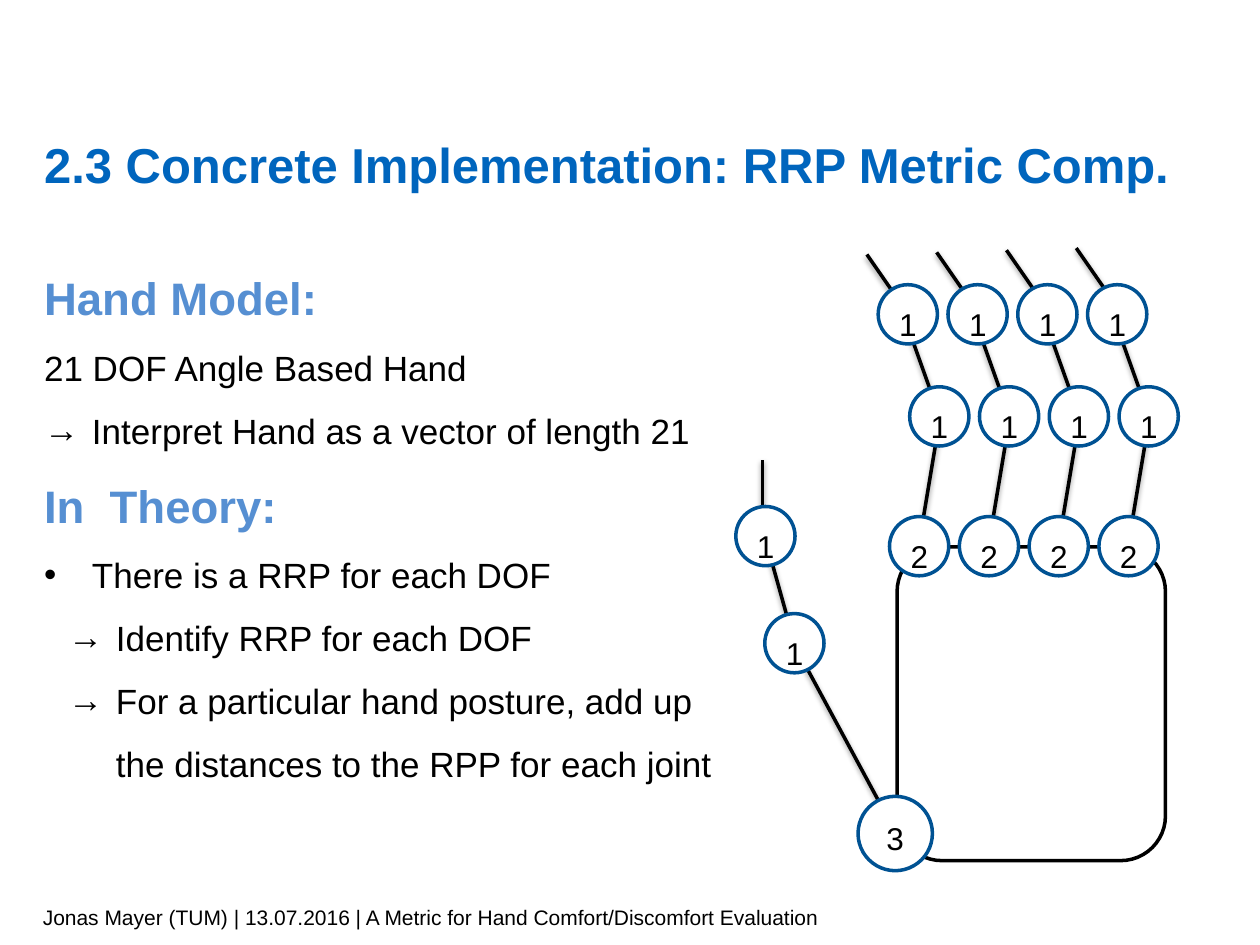
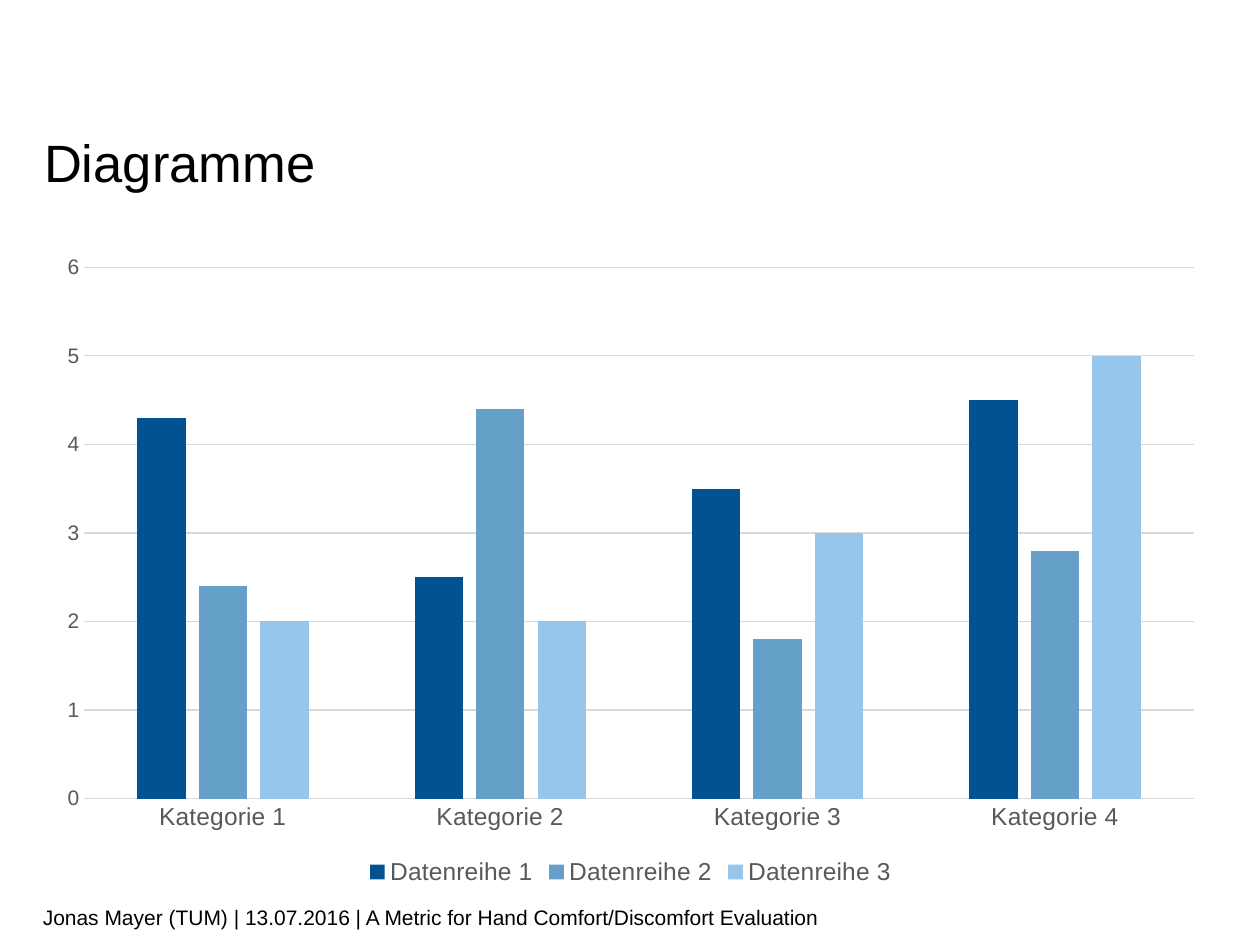
from dataclasses import dataclass

from lxml import etree
from pptx import Presentation, util as u
from pptx.chart.data import CategoryChartData
from pptx.dml.color import RGBColor
from pptx.enum import chart as charts, shapes, text
from pptx.oxml import parse_xml
from pptx.oxml.ns import nsdecls, qn

COLUMNS, ROWS = 100, 75


@dataclass(frozen=True)
class Theme:
    font: str = "Arial"
    black: str = "000000"
    white: str = "FFFFFF"
    title_blue: str = "0065BD"
    heading_blue: str = "568FD2"
    joint_blue: str = "005293"
    axis_text: str = "595959"
    grid: str = "D9D9D9"
    series: tuple = ("005293", "64A0C8", "98C6EA")
    title_size: int = 30
    long_title_size: int = 28
    heading_size: int = 26
    body_size: int = 20
    joint_size: int = 18
    label_size: int = 14
    small_size: int = 12
    line_width: float = 2


THEME = Theme()
TITLE_BOX = (3.5, 10.9, 93.1, 4.5)
BODY_BOX = (3.5, 19.3, 53, 51.4)
CHART_BOX = (3.5, 19.3, 93.1, 51.4)
FOOTER_BOX = (3.4, 70.8, 70.7, 4)
FOOTER = "Jonas Mayer (TUM) | 13.07.2016 | A Metric for Hand Comfort/Discomfort Evaluation"

# Text, style, bullet, left indent in inches
HAND_MODEL = [
    ("Hand Model:", "heading", None, 0),
    ("21 DOF Angle Based Hand", "body", None, 0),
    ("Interpret Hand as a vector of length 21", "body", "→", 0.38),
    ("In  Theory:", "heading", None, 0),
    ("There is a RRP for each DOF", "body", "•", 0.38),
    ("Identify RRP for each DOF", "body", "→", 0.57),
    ("For a particular hand posture, add up the distances to the RPP for each joint",
     "body", "→", 0.57),
]
HANGING = 0.38

# Hand geometry in grid columns and rows; joints are centre x, centre y, DOF
PALM = (71.2, 43.4, 21.3, 24.9)
FINGERS, FINGER_PITCH, TIP_RISE = 4, 5.54, 0.17
FINGER_JOINTS = [(72.05, 24.95, "1"), (74.55, 33.05, "1"), (72.95, 43.35, "2")]
FINGER_BONES = [((74.6, 33.2), (72.9, 43.4)), ((74.6, 33.1), (71.6, 24.7))]
FINGERTIP = ((72.2, 25.1), (68.8, 20.2))
THUMB_BONES = [((71.1, 66.1), (63, 51.1)), ((60.7, 42.6), (63.1, 51.2)),
               ((60.5, 42.1), (60.5, 36.5))]
THUMB_JOINTS = [(63.05, 51.05, "1"), (60.75, 42.55, "1")]
WRIST = (71.05, 66.15, "3")
JOINT_SIZE, WRIST_SIZE = 4.7, 5.9

CATEGORIES = [f"Kategorie {n}" for n in range(1, 5)]
SERIES = {
    "Datenreihe 1": (4.3, 2.5, 3.5, 4.5),
    "Datenreihe 2": (2.4, 4.4, 1.8, 2.8),
    "Datenreihe 3": (2, 2, 3, 5),
}


def rgb(color):
    return RGBColor.from_string(color)


class Deck:
    def __init__(self, theme):
        self.theme = theme
        self.prs = Presentation()
        self.prs.slide_width, self.prs.slide_height = u.Inches(10), u.Inches(7.5)
        self.slide = None

    def x(self, columns):
        return round(self.prs.slide_width * columns / COLUMNS)

    def y(self, rows):
        return round(self.prs.slide_height * rows / ROWS)

    def box(self, left, top, width, height):
        return self.x(left), self.y(top), self.x(width), self.y(height)

    def place(self, sp, box):
        sp.left, sp.top, sp.width, sp.height = self.box(*box)

    def font(self, font, size, color, bold=False):
        font.name, font.size, font.bold = self.theme.font, u.Pt(size), bold
        font.color.rgb = rgb(color)

    def stroke(self, line, color, width=None):
        line.color.rgb = rgb(color)
        line.width = u.Pt(width or self.theme.line_width)

    def paragraph(self, p, content, size, color, bold=False):
        p.text = content
        for r in p.runs:
            self.font(r.font, size, color, bold)

    def frame(self, sp, anchor=text.MSO_ANCHOR.TOP, inset=0):
        """Prepare a wrapping text frame without side margins."""
        tf = sp.text_frame
        tf.word_wrap, tf.auto_size = True, text.MSO_AUTO_SIZE.NONE
        tf.vertical_anchor = anchor
        tf.margin_left = tf.margin_right = 0
        tf.margin_top = tf.margin_bottom = u.Inches(inset)
        return tf

    def new_slide(self, layout, title, size, color, bold=False):
        self.slide = self.prs.slides.add_slide(self.prs.slide_layouts[layout])
        sp = self.slide.shapes.title
        self.place(sp, TITLE_BOX)
        p = self.frame(sp).paragraphs[0]
        self.paragraph(p, title, size, color, bold)
        p.alignment, p.line_spacing = text.PP_ALIGN.LEFT, u.Pt(32)

    def footer(self):
        sp = self.slide.shapes.add_textbox(*self.box(*FOOTER_BOX))
        tf = self.frame(sp, text.MSO_ANCHOR.MIDDLE, 0.05)
        self.paragraph(tf.paragraphs[0], FOOTER, self.theme.small_size, self.theme.black)

    def bullet(self, p, char, indent):
        pPr = p._p.get_or_add_pPr()
        pPr.set("marL", str(u.Inches(indent)))
        pPr.set("indent", str(-u.Inches(HANGING) if char else 0))
        if char:
            etree.SubElement(pPr, qn("a:buFont")).set("typeface", self.theme.font)
            etree.SubElement(pPr, qn("a:buChar")).set("char", char)
        else:
            etree.SubElement(pPr, qn("a:buNone"))

    def body(self, items):
        t = self.theme
        styles = {"heading": (t.heading_size, t.heading_blue, True),
                  "body": (t.body_size, t.black, False)}
        sp = self.slide.placeholders[1]
        self.place(sp, BODY_BOX)
        tf = self.frame(sp)
        for i, (content, style, char, indent) in enumerate(items):
            p = tf.add_paragraph() if i else tf.paragraphs[0]
            self.paragraph(p, content, *styles[style])
            p.level = int(indent > HANGING)
            p.alignment, p.line_spacing = text.PP_ALIGN.LEFT, 1.5
            p.space_before = p.space_after = u.Pt(0)
            self.bullet(p, char, indent)

    def shape(self, kind, box, line_color):
        sp = self.slide.shapes.add_shape(kind, *self.box(*box))
        sp.shadow.inherit = False
        sp.fill.solid()
        sp.fill.fore_color.rgb = rgb(self.theme.white)
        self.stroke(sp.line, line_color)
        return sp

    def joint(self, cx, cy, dof, size=JOINT_SIZE):
        sp = self.shape(shapes.MSO_SHAPE.FLOWCHART_CONNECTOR,
                        (cx - size / 2, cy - size / 2, size, size), self.theme.joint_blue)
        sp.text_frame.vertical_anchor = text.MSO_ANCHOR.TOP
        p = sp.text_frame.paragraphs[0]
        self.paragraph(p, dof, self.theme.joint_size, self.theme.black)
        p.alignment, p.line_spacing = text.PP_ALIGN.CENTER, 1.14

    def bone(self, start, end, dx=0, dy=0):
        (x1, y1), (x2, y2) = start, end
        line = self.slide.shapes.add_connector(
            shapes.MSO_CONNECTOR.STRAIGHT, self.x(x1 + dx), self.y(y1 + dy),
            self.x(x2 + dx), self.y(y2 + dy))
        self.stroke(line.line, self.theme.black)
        line._element.spPr.append(parse_xml(
            f'<a:effectLst {nsdecls("a")}><a:outerShdw blurRad="{u.Pt(3.1)}" '
            f'dist="{u.Pt(1.6)}" dir="5400000" rotWithShape="0">'
            f'<a:srgbClr val="{self.theme.black}"><a:alpha val="38000"/></a:srgbClr>'
            '</a:outerShdw></a:effectLst>'))

    def column_chart(self, categories, series):
        t = self.theme
        data = CategoryChartData()
        data.categories = categories
        for name, values in series.items():
            data.add_series(name, values)
        chart = self.slide.shapes.add_chart(
            charts.XL_CHART_TYPE.COLUMN_CLUSTERED, *self.box(*CHART_BOX), data).chart
        self.font(chart.font, 10, t.black)
        chart.has_title = False
        chart.has_legend = True
        chart.legend.position = charts.XL_LEGEND_POSITION.BOTTOM
        chart.legend.include_in_layout = False
        self.font(chart.legend.font, t.label_size, t.axis_text)

        plot = chart.plots[0]
        plot.gap_width, plot.overlap, plot.vary_by_categories = 219, -27, False
        for s, color in zip(plot.series, t.series):
            s.format.fill.solid()
            s.format.fill.fore_color.rgb = rgb(color)

        cat, val = chart.category_axis, chart.value_axis
        for axis, size in ((cat, t.label_size), (val, t.small_size)):
            axis.major_tick_mark = axis.minor_tick_mark = charts.XL_TICK_MARK.NONE
            self.font(axis.tick_labels.font, size, t.axis_text)
        self.stroke(cat.format.line, t.grid, 0.75)
        val.format.line.fill.background()
        val.minimum_scale, val.maximum_scale, val.major_unit = 0, 6, 1
        val.has_major_gridlines = True
        self.stroke(val.major_gridlines.format.line, t.grid, 0.75)


def draw_hand(deck):
    deck.shape(shapes.MSO_SHAPE.ROUNDED_RECTANGLE, PALM, deck.theme.black)
    for finger in range(FINGERS):
        dx = finger * FINGER_PITCH
        for bone in FINGER_BONES:
            deck.bone(*bone, dx)
        deck.bone(*FINGERTIP, dx, -finger * TIP_RISE)
        for cx, cy, dof in FINGER_JOINTS:
            deck.joint(cx + dx, cy, dof)
    for bone in THUMB_BONES:
        deck.bone(*bone)
    deck.joint(*WRIST, WRIST_SIZE)
    for joint in THUMB_JOINTS:
        deck.joint(*joint)


def main():
    deck = Deck(THEME)
    deck.new_slide(1, "2.3 Concrete Implementation: RRP Metric Comp.",
                   THEME.long_title_size, THEME.title_blue, bold=True)
    deck.body(HAND_MODEL)
    draw_hand(deck)
    deck.footer()

    deck.new_slide(5, "Diagramme", THEME.title_size, THEME.black)
    deck.column_chart(CATEGORIES, SERIES)
    deck.footer()
    deck.prs.save("out.pptx")


if __name__ == "__main__":
    main()
